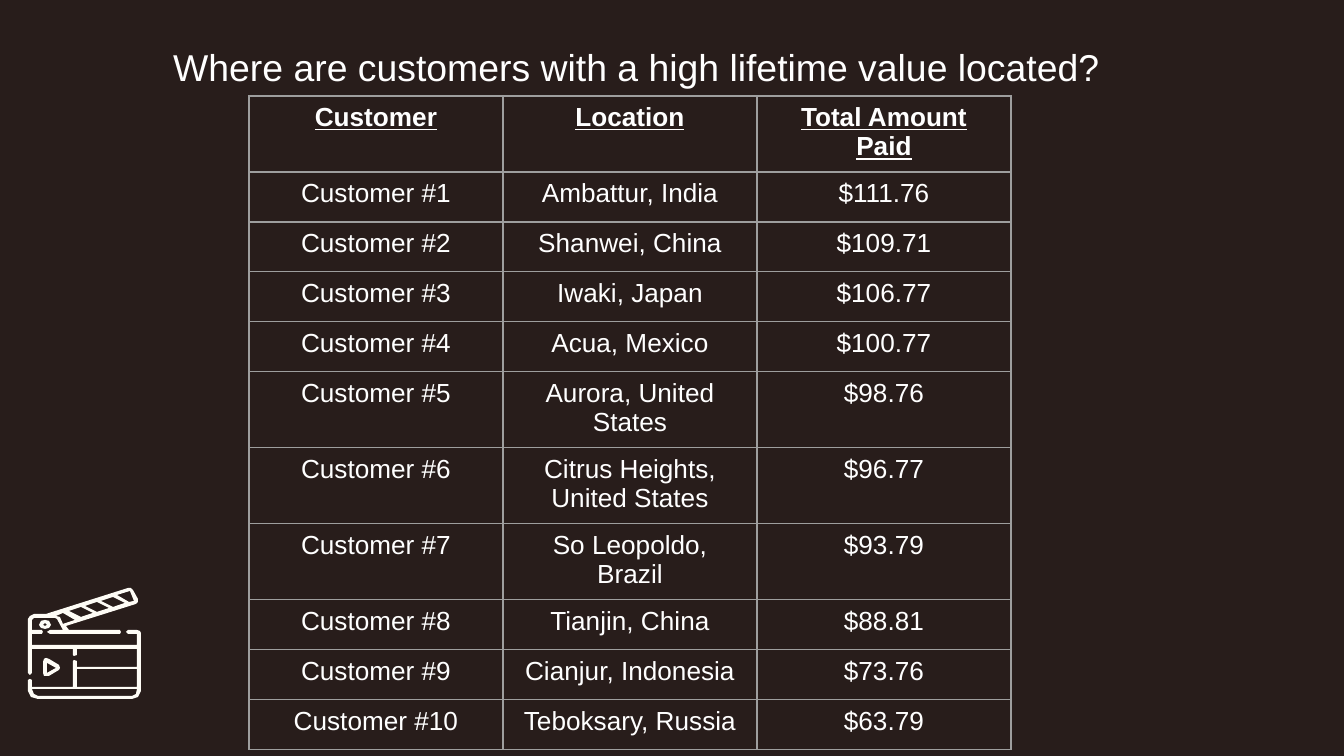
import pptx
import pptx.dml.color
import pptx.enum.text
import pptx.oxml
import pptx.oxml.ns
import pptx.util

BACKGROUND = pptx.dml.color.RGBColor(0x28, 0x1D, 0x1B)
WHITE = pptx.dml.color.RGBColor(0xFF, 0xFF, 0xFF)
ICON = pptx.dml.color.RGBColor(0xFE, 0xFC, 0xF6)
BORDER = pptx.dml.color.RGBColor(0x9E, 0x9E, 0x9E)
FONT = "Arial"
SCALE = 914400 / 134.4

TITLE = "Where are customers with a high lifetime value located?"
HEADERS = ("Customer", "Location", "Total Amount Paid")
CUSTOMERS = [
    ("Ambattur, India", "$111.76"),
    ("Shanwei, China", "$109.71"),
    ("Iwaki, Japan", "$106.77"),
    ("Acua, Mexico", "$100.77"),
    ("Aurora, United States", "$98.76"),
    ("Citrus Heights, United States", "$96.77"),
    ("So Leopoldo, Brazil", "$93.79"),
    ("Tianjin, China", "$88.81"),
    ("Cianjur, Indonesia", "$73.76"),
    ("Teboksary, Russia", "$63.79"),
]
TABLE_LEFT, TABLE_TOP, COLUMN_WIDTH = 249, 96, 254
ROW_HEIGHT, TALL_ROW_HEIGHT = 50, 76
TALL_ROWS = (0, 5, 6, 7)

# Clapperboard icon: the first contour is the outside, the others are holes.
BOARD_EDGE = [
    (137, 630), (128, 630), (126, 632), (128, 634), (137, 634), (137, 645),
    (32, 645), (32, 634), (42, 634), (43, 632), (42, 630), (32, 630),
    (32, 620), (34, 618), (55, 618), (57, 619), (63, 630), (50, 630),
    (47, 632), (50, 634), (120, 634), (121, 632), (120, 630), (69, 630),
    (66, 626), (136, 604), (138, 602), (138, 599), (133, 590), (131, 588),
    (128, 588), (46, 614), (34, 614), (30, 616), (28, 619), (28, 673),
    (30, 675), (32, 673), (32, 649), (73, 649), (73, 655), (74, 656),
    (77, 655), (77, 649), (137, 649), (137, 667), (77, 667), (77, 661),
    (74, 660), (73, 661), (73, 687), (32, 687), (32, 680), (30, 679),
    (28, 680), (28, 691), (31, 697), (38, 699), (132, 699), (138, 697),
    (141, 691), (141, 633), (140, 631),
]
FOOTER = [(132, 696), (38, 696), (34, 694), (32, 689), (137, 689), (136, 694)]
PANEL = [(77, 669), (137, 669), (137, 687), (77, 687)]
STICK_TIP = [(130, 591), (134, 601), (129, 602), (117, 595)]
STICK_BASE = [(60, 617), (56, 616), (63, 613), (75, 620), (63, 624)]
STRIPE = [(113, 597), (125, 603), (113, 607), (101, 601)]
STRIPES = [[(x - 16 * i, y + 5 * i) for x, y in STRIPE] for i in range(3)]
HINGE = [(51, 625), (49, 621), (45, 620), (41, 621), (39, 625),
         (41, 628), (45, 629), (49, 628)]
HINGE_HOLE = [(45, 626), (43, 625), (45, 623), (47, 625)]
PLAY = [(47, 676), (49, 676), (59, 670), (60, 668), (59, 665), (49, 659),
        (46, 658), (44, 659), (43, 662), (43, 673), (44, 676)]
PLAY_HOLE = [(47, 663), (56, 668), (47, 673)]
ICON_PARTS = [
    [BOARD_EDGE, FOOTER, PANEL, STICK_TIP, STICK_BASE, *STRIPES],
    [HINGE, HINGE_HOLE],
    [PLAY, PLAY_HOLE],
]


def px(length):
    return pptx.util.Emu(round(length * SCALE))


def style_text(para, size, bold=False):
    font = para.runs[0].font
    font.name, font.size, font.bold = FONT, pptx.util.Pt(size), bold
    font.underline = bold
    font.color.rgb = WHITE


def add_borders(cell):
    for side in ("L", "R", "T", "B"):
        cell._tc.get_or_add_tcPr().append(pptx.oxml.parse_xml(
            f'<a:ln{side} {pptx.oxml.ns.nsdecls("a")} w="{pptx.util.Pt(0.75)}">'
            f'<a:solidFill><a:srgbClr val="{BORDER}"/></a:solidFill></a:ln{side}>'))


def add_title(page):
    box = page.shapes.add_textbox(px(160), px(34), px(1090), px(59))
    frame = box.text_frame
    frame.word_wrap = True
    frame.margin_top = px(10)
    frame.text = TITLE
    style_text(frame.paragraphs[0], 20)


def add_customer_table(page):
    rows = [HEADERS]
    rows += [(f"Customer #{i}", *row) for i, row in enumerate(CUSTOMERS, 1)]
    heights = [TALL_ROW_HEIGHT if i in TALL_ROWS else ROW_HEIGHT
               for i in range(len(rows))]
    table = page.shapes.add_table(
        len(rows), len(HEADERS), px(TABLE_LEFT), px(TABLE_TOP),
        px(COLUMN_WIDTH * len(HEADERS)), px(sum(heights))).table
    table.first_row = table.horz_banding = False
    for column in table.columns:
        column.width = px(COLUMN_WIDTH)
    for i, (row, height) in enumerate(zip(rows, heights)):
        table.rows[i].height = px(height)
        for j, text in enumerate(row):
            cell = table.cell(i, j)
            cell.text = text
            cell.margin_left = cell.margin_right = px(16)
            add_borders(cell)
            cell.fill.background()
            para = cell.text_frame.paragraphs[0]
            para.alignment = pptx.enum.text.PP_ALIGN.CENTER
            style_text(para, 14, bold=i == 0)


def add_clapperboard(page):
    group = page.shapes.add_group_shape()
    for contours in ICON_PARTS:
        builder = group.shapes.build_freeform(*contours[0][0], scale=SCALE)
        builder.add_line_segments(contours[0][1:], close=True)
        for hole in contours[1:]:
            builder.move_to(*hole[0])
            builder.add_line_segments(hole[1:], close=True)
        part = builder.convert_to_shape()
        part.shadow.inherit = False
        part.fill.solid()
        part.fill.fore_color.rgb = ICON
        part.line.fill.background()


def main():
    deck = pptx.Presentation()
    deck.slide_width, deck.slide_height = px(1344), px(756)
    page = deck.slides.add_slide(deck.slide_layouts[6])
    page.background.fill.solid()
    page.background.fill.fore_color.rgb = BACKGROUND
    add_customer_table(page)
    add_title(page)
    add_clapperboard(page)
    deck.save("out.pptx")


if __name__ == "__main__":
    main()
